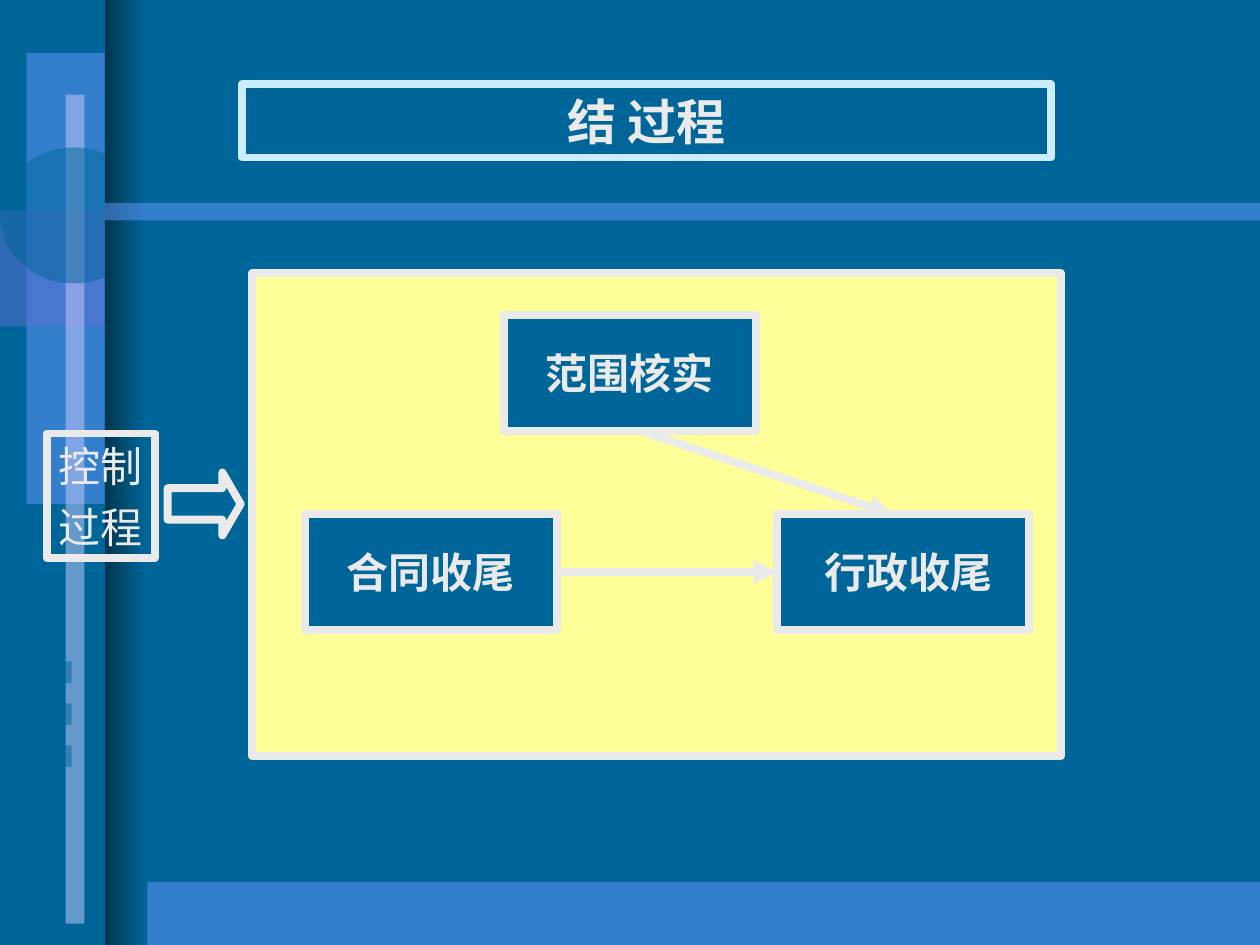
from lxml import etree
from pptx import Presentation
from pptx.dml.color import RGBColor
from pptx.enum.shapes import MSO_CONNECTOR, MSO_SHAPE
from pptx.enum.text import MSO_ANCHOR, MSO_AUTO_SIZE, PP_ALIGN
from pptx.oxml.ns import qn
from pptx.util import Inches, Pt

RECT, OVAL, ARROW = MSO_SHAPE.RECTANGLE, MSO_SHAPE.OVAL, MSO_SHAPE.RIGHT_ARROW
STRAIGHT = MSO_CONNECTOR.STRAIGHT
CENTER, MIDDLE, NO_FIT = PP_ALIGN.CENTER, MSO_ANCHOR.MIDDLE, MSO_AUTO_SIZE.NONE
LEFT_SIDE, RIGHT_SIDE = 1, 3

TEAL = RGBColor(0x00, 0x66, 0x99)
DARK_TEAL = RGBColor(0x00, 0x35, 0x4E)
BLUE = RGBColor(0x66, 0x99, 0xFF)
VIOLET = RGBColor(0x5E, 0x6F, 0xD4)
LAVENDER = RGBColor(0xCC, 0xCC, 0xFF)
ICE = RGBColor(0xCC, 0xEC, 0xFF)
YELLOW = RGBColor(0xFF, 0xFF, 0x99)
LIGHT = RGBColor(0xEA, 0xEA, 0xEA)


class ProcessSlide:
    font = "Roboto Condensed"
    line_width = Pt(4.5)

    def __init__(self, slide):
        self.slide = slide
        slide.background.fill.solid()
        slide.background.fill.fore_color.rgb = TEAL

    def shape(self, kind, left, top, width, height):
        shape = self.slide.shapes.add_shape(
            kind, Inches(left), Inches(top), Inches(width), Inches(height))
        shape.shadow.inherit = False
        return shape

    def outline(self, shape, fill, line=LIGHT):
        if fill is None:
            shape.fill.background()
        else:
            shape.fill.solid()
            shape.fill.fore_color.rgb = fill
        shape.line.color.rgb = line
        shape.line.width = self.line_width

    def label(self, shape, text, size, bold):
        frame = shape.text_frame
        frame.text = text
        frame.word_wrap = False
        frame.auto_size = NO_FIT
        frame.vertical_anchor = MIDDLE
        for index, paragraph in enumerate(frame.paragraphs):
            paragraph.alignment = CENTER
            paragraph.space_before = Pt(6 if index else 0)
            for run in paragraph.runs:
                run.font.name = self.font
                run.font.size = Pt(size)
                run.font.bold = bold
                run.font.color.rgb = LIGHT

    def veil(self, color, left, top, width, height, kind=RECT):
        """Half-transparent decoration without an outline."""
        shape = self.shape(kind, left, top, width, height)
        shape.fill.solid()
        shape.fill.fore_color.rgb = color
        shape.line.fill.background()
        tint = shape._element.spPr.find(qn("a:solidFill"))[0]
        etree.SubElement(tint, qn("a:alpha"), val="50000")

    def shade(self, left, top, width, height):
        shape = self.shape(RECT, left, top, width, height)
        shape.fill.gradient()
        shape.fill.gradient_angle = 0
        for stop, color in zip(shape.fill.gradient_stops, (DARK_TEAL, TEAL)):
            stop.color.rgb = color
        shape.line.fill.background()

    def title(self, text, left, top, width, height):
        title = self.slide.shapes.title
        title.left, title.top = Inches(left), Inches(top)
        title.width, title.height = Inches(width), Inches(height)
        self.outline(title, TEAL, ICE)
        self.label(title, text, 28, True)

    def box(self, left, top, width, height, text="", fill=TEAL, bold=True):
        box = self.shape(RECT, left, top, width, height)
        self.outline(box, fill)
        if text:
            self.label(box, text, 24, bold)
        return box

    def block_arrow(self, left, top, width, height, head):
        arrow = self.shape(ARROW, left, top, width, height)
        arrow.adjustments[1] = head
        self.outline(arrow, TEAL)

    def link(self, start=(0, 0), end=(0, 0)):
        link = self.slide.shapes.add_connector(
            STRAIGHT, *(Inches(value) for value in (*start, *end)))
        link.line.color.rgb = LIGHT
        link.line.width = self.line_width
        properties = link._element.spPr
        etree.SubElement(properties.find(qn("a:ln")), qn("a:tailEnd"), type="triangle")
        etree.SubElement(properties, qn("a:effectLst"))
        return link


def main():
    prs = Presentation()
    prs.slide_width, prs.slide_height = Inches(10), Inches(7.5)
    page = ProcessSlide(prs.slides.add_slide(prs.slide_layouts[5]))

    # Decoration: footer band, left column, shaded edge, header rule
    page.veil(BLUE, 1.17, 7, 8.83, 0.5)
    page.veil(BLUE, 0.21, 0.42, 0.62, 3.58)
    page.veil(VIOLET, 0, 1.67, 0.83, 0.92)
    page.veil(LAVENDER, 0.52, 0.75, 0.15, 6.58)
    for row in range(3):
        page.veil(TEAL, 0, 5.25 + row / 3, 0.57, 0.17)
    page.veil(TEAL, 0, 1.17, 1.17, 1.08, OVAL)
    page.shade(0.83, 0, 0.33, 7.5)
    page.veil(BLUE, 0.83, 1.61, 9.17, 0.14)

    # Title
    page.title("结 过程", 1.92, 0.67, 6.42, 0.58)

    # Closing processes
    page.box(2, 2.17, 6.42, 3.83, fill=YELLOW)
    page.box(4, 2.5, 2, 0.92, "范围核实")
    administrative = page.box(6.17, 4.08, 2, 0.92, " 行政收尾")
    contract = page.box(2.42, 4.08, 2, 0.92, "合同收尾")

    # Flow between the processes
    page.link((5.08, 3.42), (7.08, 4.08))
    contract_link = page.link()
    contract_link.begin_connect(contract, RIGHT_SIDE)
    contract_link.end_connect(administrative, LEFT_SIDE)

    # Input from the controlling processes
    page.block_arrow(1.33, 3.75, 0.58, 0.5, head=0.29)
    page.box(0.37, 3.44, 0.86, 0.99, "控制\n过程", fill=None, bold=False)

    prs.save("out.pptx")


if __name__ == "__main__":
    main()
